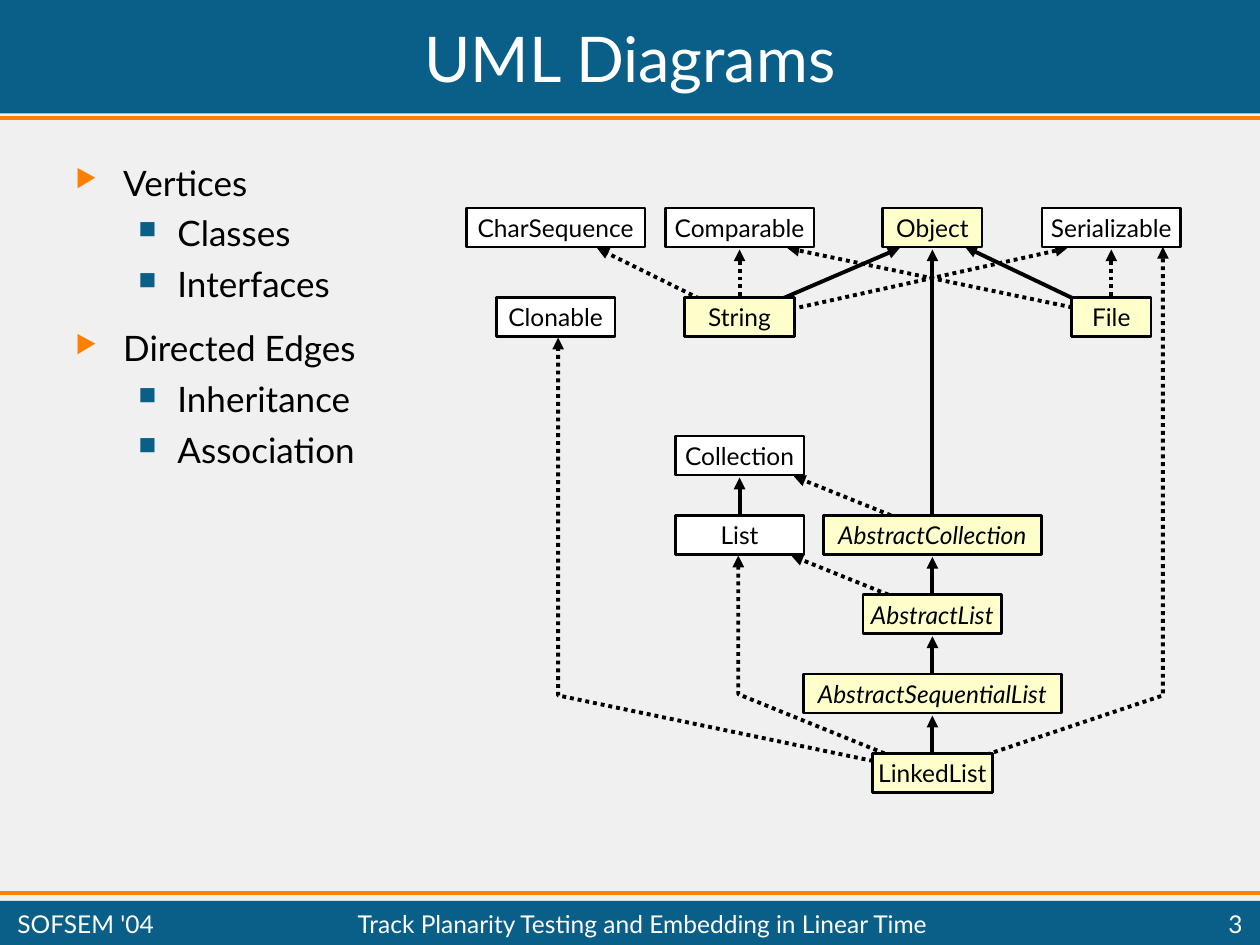
import dataclasses

import pptx
import pptx.dml.color
import pptx.enum.dml
import pptx.enum.shapes
import pptx.enum.text
import pptx.oxml
import pptx.oxml.ns
import pptx.oxml.xmlchemy
import pptx.util

Inches = pptx.util.Inches
Align = pptx.enum.text.PP_ALIGN
qn = pptx.oxml.ns.qn


@dataclasses.dataclass(frozen=True)
class Theme:
    font: str = "Lato"
    background: str = "F0F0F0"
    blue: str = "0A5F89"
    orange: str = "FF7F00"
    black: str = "000000"
    white: str = "FFFFFF"
    class_fill: str = "FFFFCC"
    title_size: int = 36
    body_size: int = 20
    small_size: int = 14
    edge_width: float = 2.25
    box_width: float = 1.5


THEME = Theme()

# Columns (centres) and rows (tops) of the class diagram
COLUMNS = (4.41, 5.87, 7.4, 8.82)
TOP_ROW, SECOND_ROW = 1.65, 2.36
LOWER_ROWS = [3.46 + 0.63 * step for step in range(5)]
BOX_HEIGHT = 0.31

# Name, column, top, width
INTERFACES = [
    ("CharSequence", 0, TOP_ROW, 1.42),
    ("Comparable", 1, TOP_ROW, 1.18),
    ("Serializable", 3, TOP_ROW, 1.1),
    ("Clonable", 0, SECOND_ROW, 0.94),
    ("Collection", 1, LOWER_ROWS[0], 1.02),
    ("List", 1, LOWER_ROWS[1], 1.02),
]
CLASSES = [
    ("Object", 2, TOP_ROW, 0.79),
    ("String", 1, SECOND_ROW, 0.87),
    ("File", 3, SECOND_ROW, 0.63),
    ("LinkedList", 2, LOWER_ROWS[4], 0.95),
]
ABSTRACT_CLASSES = [
    ("AbstractCollection", 2, LOWER_ROWS[1], 1.73),
    ("AbstractList", 2, LOWER_ROWS[2], 1.1),
    ("AbstractSequentialList", 2, LOWER_ROWS[3], 2.05),
]

# Each edge runs from the subtype to its supertype
SOLID_EDGES = [
    [(5.87, 4.08), (5.87, 3.79)],
    [(7.4, 5.97), (7.4, 5.68)],
    [(7.4, 5.34), (7.4, 5.05)],
    [(7.4, 4.71), (7.4, 4.42)],
    [(7.4, 4.08), (7.4, 1.98)],
    [(5.86, 2.52), (7.14, 1.97)],
    [(8.52, 2.37), (7.66, 1.96)],
]
DOTTED_EDGES = [
    [(7.02, 5.98), (5.86, 5.51), (5.86, 4.41)],
    [(6.93, 6.04), (4.43, 5.52), (4.43, 2.68)],
    [(7.83, 5.99), (9.23, 5.52), (9.23, 1.96)],
    [(7.05, 4.72), (6.28, 4.41)],
    [(7.07, 4.09), (6.3, 3.78)],
    [(5.55, 2.37), (4.74, 1.97)],
    [(5.87, 2.35), (5.87, 1.98)],
    [(5.98, 2.52), (8.47, 1.97)],
    [(8.51, 2.44), (6.25, 1.97)],
    [(8.82, 2.35), (8.82, 1.98)],
]

# Level and wording
BULLETS = [
    (0, "Vertices"), (1, "Classes"), (1, "Interfaces"),
    (0, "Directed Edges"), (1, "Inheritance"), (1, "Association"),
]
# Marker, its colour, left margin, hanging indent, space before
BULLET_LEVELS = [
    ("▶", THEME.orange, 0.38, 0.38, 12.5),
    ("■", THEME.blue, 0.81, 0.31, 5),
]


def rgb(color):
    return pptx.dml.color.RGBColor.from_string(color)


def style_paragraph(paragraph, size, color, align=Align.LEFT, italic=None):
    paragraph.alignment = align
    for run in paragraph.runs:
        run.font.name = THEME.font
        run.font.size = pptx.util.Pt(size)
        run.font.color.rgb = rgb(color)
        run.font.italic = italic


def add_rectangle(slide, left, top, width, height, fill):
    shape = slide.shapes.add_shape(
        pptx.enum.shapes.MSO_SHAPE.RECTANGLE,
        Inches(left), Inches(top), Inches(width), Inches(height))
    shape.shadow.inherit = False
    shape.fill.solid()
    shape.fill.fore_color.rgb = rgb(fill)
    shape.line.fill.background()
    return shape


def add_label(slide, text, left, top, width, height, size, align):
    shape = slide.shapes.add_textbox(
        Inches(left), Inches(top), Inches(width), Inches(height))
    frame = shape.text_frame
    frame.text = text
    frame.word_wrap = True
    frame.vertical_anchor = pptx.enum.text.MSO_ANCHOR.MIDDLE
    style_paragraph(frame.paragraphs[0], size, THEME.white, align)


def add_line(slide, points, color, dotted=False, arrow=False):
    corners = [(Inches(x), Inches(y)) for x, y in points]
    if len(corners) == 2:
        line = slide.shapes.add_connector(
            pptx.enum.shapes.MSO_CONNECTOR.STRAIGHT, *corners[0], *corners[1])
        properties = line.element.spPr
    else:
        builder = slide.shapes.build_freeform(*corners[0])
        builder.add_line_segments(corners[1:], close=False)
        line = builder.convert_to_shape()
        line.fill.background()
        line.shadow.inherit = False
        properties = line.element.spPr
    line.line.color.rgb = rgb(color)
    line.line.width = pptx.util.Pt(THEME.edge_width)
    if dotted:
        line.line.dash_style = pptx.enum.dml.MSO_LINE.ROUND_DOT
    if arrow:
        outline = properties.find(qn("a:ln"))
        outline.append(outline.makeelement(qn("a:tailEnd"), {"type": "triangle"}))
    if properties.find(qn("a:effectLst")) is None:
        properties.append(properties.makeelement(qn("a:effectLst"), {}))


def add_type_box(slide, name, column, top, width, fill, italic=None):
    left = COLUMNS[column] - width / 2
    box = add_rectangle(slide, left, top, width, BOX_HEIGHT, fill)
    box.line.color.rgb = rgb(THEME.black)
    box.line.width = pptx.util.Pt(THEME.box_width)
    frame = box.text_frame
    frame.text = name
    frame.word_wrap = False
    frame.vertical_anchor = pptx.enum.text.MSO_ANCHOR.MIDDLE
    style_paragraph(frame.paragraphs[0], THEME.small_size, THEME.black,
                    Align.CENTER, italic)


def add_bullets(slide):
    shape = slide.shapes.add_textbox(
        Inches(0.5), Inches(1.23), Inches(2.67), Inches(5.67))
    frame = shape.text_frame
    frame.word_wrap = True
    frame.text = "\n".join(text for _, text in BULLETS)
    for paragraph, (level, _) in zip(frame.paragraphs, BULLETS):
        marker, color, margin, hanging, space = BULLET_LEVELS[level]
        paragraph.level = level
        paragraph.space_before = pptx.util.Pt(space)
        style_paragraph(paragraph, THEME.body_size, THEME.black)
        properties = paragraph._p.get_or_add_pPr()
        properties.set("marL", str(Inches(margin)))
        properties.set("indent", str(-Inches(hanging)))
        bullet_color = properties.makeelement(qn("a:buClr"), {})
        bullet_color.append(properties.makeelement(qn("a:srgbClr"), {"val": color}))
        properties.append(bullet_color)
        properties.append(properties.makeelement(qn("a:buSzPct"), {"val": "70000"}))
        properties.append(properties.makeelement(qn("a:buChar"), {"char": marker}))


def main():
    presentation = pptx.Presentation()
    presentation.slide_width, presentation.slide_height = Inches(10), Inches(7.5)
    slide = presentation.slides.add_slide(presentation.slide_layouts[6])
    slide.background.fill.solid()
    slide.background.fill.fore_color.rgb = rgb(THEME.background)

    # Header and footer bands with their rules
    for top, height, rule in ((0, 0.9, 0.94), (7.15, 0.35, 7.09)):
        add_rectangle(slide, 0, top, 10, height, THEME.blue)
        add_line(slide, [(0, rule), (10, rule)], THEME.orange)
    add_label(slide, "UML Diagrams", 0.04, 0.04, 9.92, 0.83,
              THEME.title_size, Align.CENTER)
    for text, left, width, align in (
            ("SOFSEM '04", 0.04, 1.44, Align.LEFT),
            ("Track Planarity Testing and Embedding in Linear Time", 1.5, 7.2, Align.CENTER),
            ("3", 8.78, 1.18, Align.RIGHT)):
        add_label(slide, text, left, 7.19, width, 0.28, THEME.small_size, align)

    add_bullets(slide)

    # Diagram: edges lie below the boxes
    for edges, dotted in ((SOLID_EDGES, False), (DOTTED_EDGES, True)):
        for points in edges:
            add_line(slide, points, THEME.black, dotted, arrow=True)
    for boxes, fill, italic in ((INTERFACES, THEME.white, None),
                                (CLASSES, THEME.class_fill, None),
                                (ABSTRACT_CLASSES, THEME.class_fill, True)):
        for box in boxes:
            add_type_box(slide, *box, fill, italic)

    presentation.save("out.pptx")


if __name__ == "__main__":
    main()
